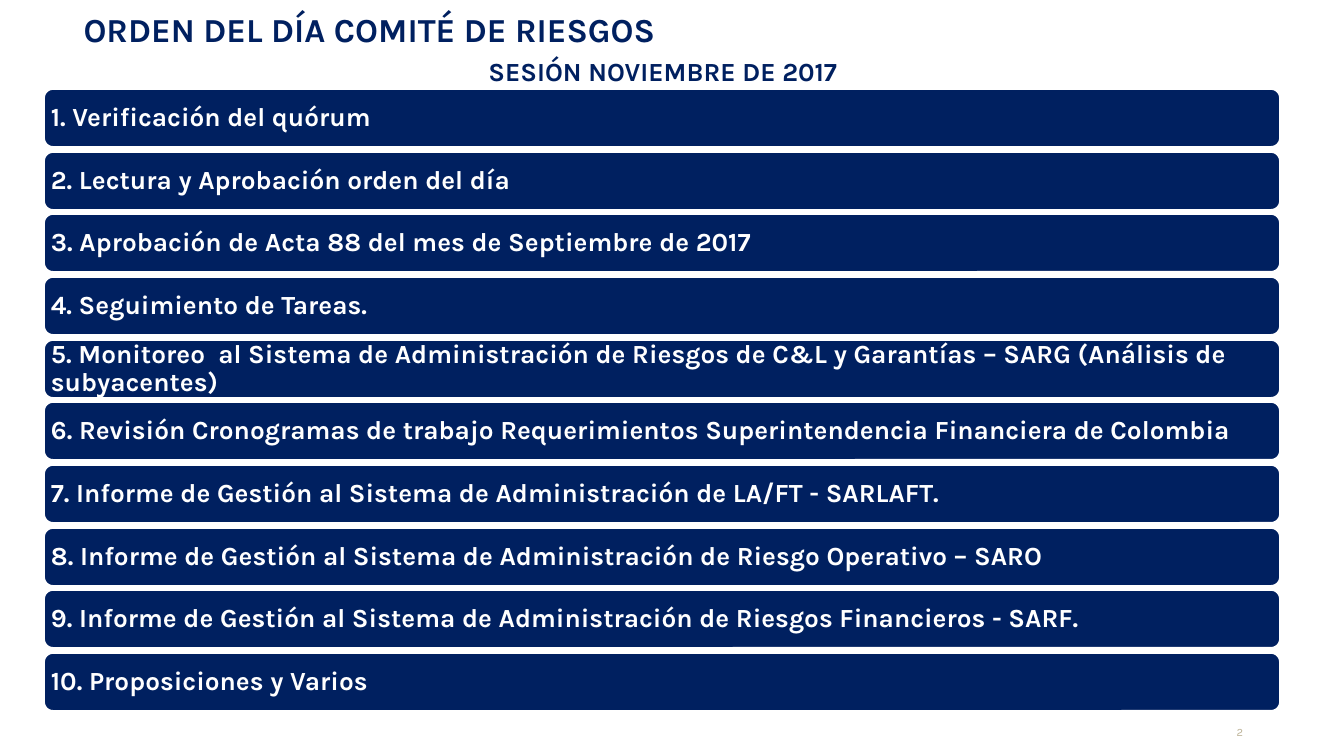
from pptx import Presentation
from pptx.dml.color import RGBColor
from pptx.enum.shapes import MSO_SHAPE as SHAPE
from pptx.enum.text import MSO_ANCHOR as ANCHOR, PP_ALIGN as ALIGN
from pptx.util import Emu, Pt

FONT = "Karla"
COLORS = {"navy": "002060", "white": "FFFFFF", "sand": "BCB296"}
AGENDA = [
    "1. Verificación del quórum",
    "2. Lectura y Aprobación orden del día",
    "3. Aprobación de Acta 88 del mes de Septiembre de 2017",
    "4. Seguimiento de Tareas.",
    "5. Monitoreo  al Sistema de Administración de Riesgos de C&L y Garantías – SARG (Análisis de subyacentes)",
    "6. Revisión Cronogramas de trabajo Requerimientos Superintendencia Financiera de Colombia",
    "7. Informe de Gestión al Sistema de Administración de LA/FT - SARLAFT.",
    "8. Informe de Gestión al Sistema de Administración de Riesgo Operativo – SARO",
    "9. Informe de Gestión al Sistema de Administración de Riesgos Financieros - SARF.",
    "10. Proposiciones y Varios",
]
BAR_LEFT, BAR_TOP, BAR_WIDTH, BAR_HEIGHT = 43, 88, 1238, 60
FIRST_TO_LAST = 564


def px(n):
    return Emu(round(n * 914400 / 134.4))


def rgb(name):
    return RGBColor.from_string(COLORS[name])


def write(shape, text, size, color, align=ALIGN.LEFT, anchor=ANCHOR.MIDDLE,
          inset=0, bold=True, wrap=True):
    tf = shape.text_frame
    tf.word_wrap = wrap
    tf.vertical_anchor = anchor
    tf.margin_left = tf.margin_right = px(inset)
    tf.margin_top = tf.margin_bottom = px(inset)
    tf.text = text
    p = tf.paragraphs[0]
    p.alignment = align
    p.font.name = FONT
    p.font.size = Pt(size)
    p.font.bold = bold
    p.font.color.rgb = rgb(color)
    return p


def add_title(s, text):
    title = s.shapes.title
    title.left, title.top, title.width, title.height = map(px, (-82, 0, 903, 59))
    write(title, text, 18, "navy", ALIGN.CENTER, inset=19, wrap=False)


def add_label(s, box, text, size, color, **style):
    return write(s.shapes.add_textbox(*map(px, box)), text, size, color, **style)


def add_bar(s, top, text, align):
    bar = s.shapes.add_shape(SHAPE.ROUNDED_RECTANGLE,
                             *map(px, (BAR_LEFT, top, BAR_WIDTH, BAR_HEIGHT)))
    bar.shadow.inherit = False
    bar.fill.solid()
    bar.fill.fore_color.rgb = rgb("navy")
    bar.line.color.rgb = rgb("white")
    bar.line.width = Pt(2)
    write(bar, text, 14, "white", align, inset=5).line_spacing = 0.9


def add_agenda(s):
    for i, text in enumerate(AGENDA):
        top = BAR_TOP + round(i * FIRST_TO_LAST / (len(AGENDA) - 1))
        add_bar(s, top, text, ALIGN.JUSTIFY if i == 3 else ALIGN.LEFT)


def main():
    prs = Presentation()
    prs.slide_width, prs.slide_height = px(1344), px(756)
    s = prs.slides.add_slide(prs.slide_layouts[5])
    add_title(s, "ORDEN DEL DÍA COMITÉ DE RIESGOS")
    p = add_label(s, (438, 55, 450, 38), "SESIÓN NOVIEMBRE DE 2017", 14, "navy",
                  align=ALIGN.CENTER, anchor=ANCHOR.TOP)
    p.line_spacing = Pt(17)
    p.space_after = Pt(12)
    add_agenda(s)
    add_label(s, (1200, 726, 43, 13), "2", 6, "sand",
              align=ALIGN.RIGHT, anchor=ANCHOR.BOTTOM, bold=False)
    prs.save("out.pptx")


if __name__ == "__main__":
    main()
